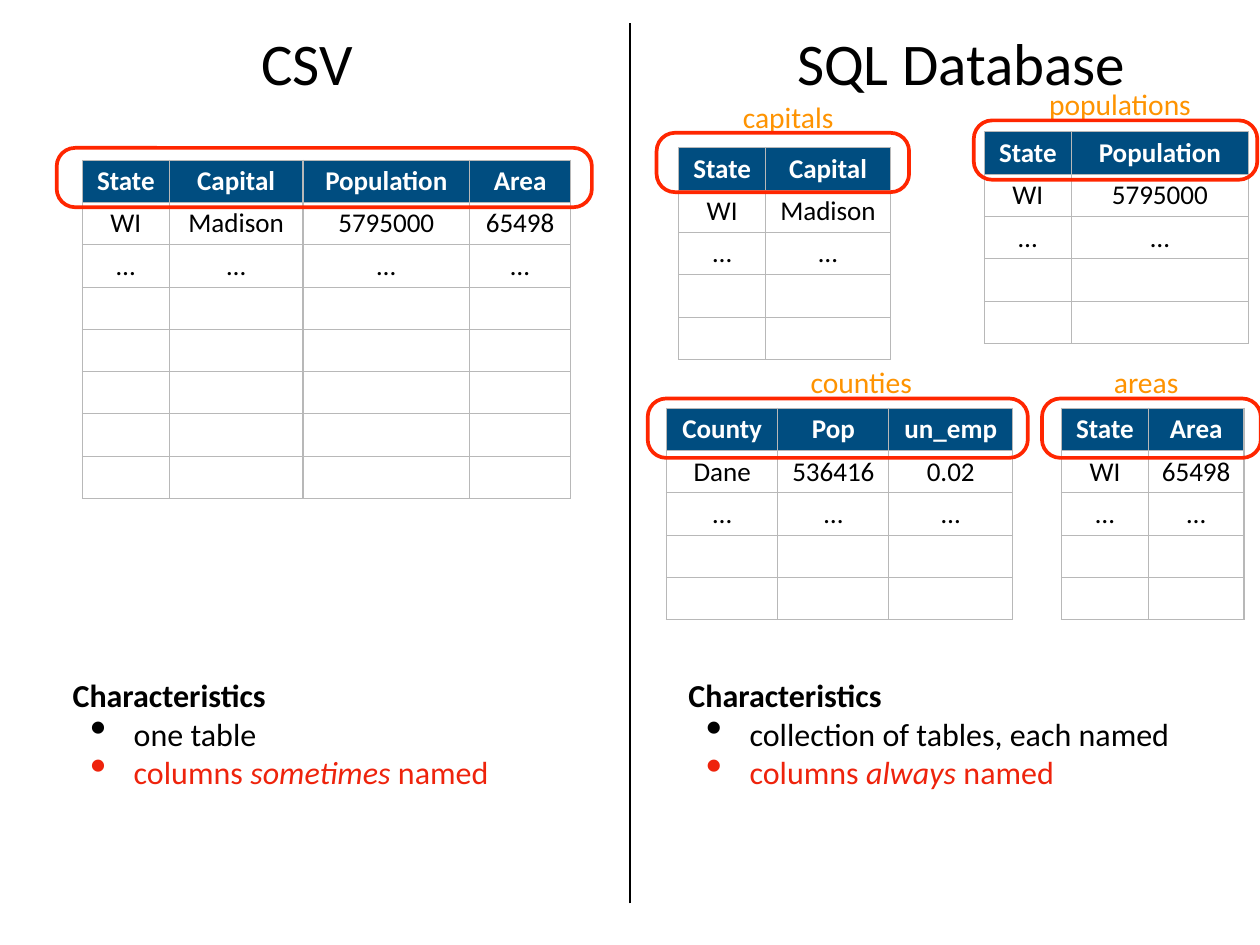
from dataclasses import dataclass

from lxml.etree import SubElement
from pptx import Presentation
from pptx.dml.color import RGBColor
from pptx.enum.shapes import MSO_CONNECTOR as Connector, MSO_SHAPE as Preset
from pptx.enum.text import MSO_ANCHOR as Anchor, MSO_AUTO_SIZE as AutoSize, PP_ALIGN as Align
from pptx.oxml.ns import qn
from pptx.util import Inches, Pt


@dataclass(frozen=True)
class Theme:
    font: str = "Calibri"
    black: str = "000000"
    white: str = "FFFFFF"
    header: str = "004D80"
    grid: str = "B8B8B8"
    label: str = "FE9301"
    highlight: str = "FF2600"
    emphasis: str = "EE230C"
    heading_size: int = 48
    body_size: int = 26
    label_size: int = 24
    cell_size: int = 22
    divider_width: int = 2
    highlight_width: int = 3
    grid_width: int = 1


THEME = Theme()
INSET = 0.06
CELL_INSET = 0.05

CSV_TABLE = dict(
    box=(0.93, 1.81, 5.5, 3.82), widths=(0.98, 1.51, 1.88, 1.14), row_count=8,
    header=("State", "Capital", "Population", "Area"),
    record=("WI", "Madison", "5795000", "65498"))
CAPITALS = dict(
    box=(7.66, 1.67, 2.39, 2.39), widths=(0.98, 1.41), row_count=5,
    header=("State", "Capital"), record=("WI", "Madison"))
POPULATIONS = dict(
    box=(11.11, 1.49, 2.98, 2.39), widths=(0.98, 2), row_count=5,
    header=("State", "Population"), record=("WI", "5795000"))
COUNTIES = dict(
    box=(7.52, 4.61, 3.9, 2.39), widths=(1.26, 1.25, 1.4), row_count=5,
    header=("County", "Pop", "un_emp"), record=("Dane", "536416", "0.02"))
AREAS = dict(
    box=(11.98, 4.61, 2.06, 2.39), widths=(0.98, 1.08), row_count=5,
    header=("State", "Area"), record=("WI", "65498"))
TABLES = (CSV_TABLE, CAPITALS, POPULATIONS, COUNTIES, AREAS)

LABELS = (
    ("capitals", (8.3, 1.06, 1.19, 0.52)),
    ("populations", (11.73, 0.91, 1.82, 0.52)),
    ("counties", (9.04, 4.05, 1.36, 0.52)),
    ("areas", (12.49, 4.05, 0.89, 0.52)),
)
HEADER_HIGHLIGHTS = (
    (0.64, 1.67, 6.04),
    (7.41, 1.5, 2.85),
    (10.99, 1.36, 3.2),
    (7.31, 4.5, 4.29),
    (11.76, 4.5, 2.47),
)
CHARACTERISTICS = (
    ((0.76, 7.57, 5.84, 2.48), "one table", "sometimes"),
    ((7.71, 7.57, 6.28, 2.48), "collection of tables, each named", "always"),
)


def color(value):
    return RGBColor.from_string(value)


def inches(values):
    return [Inches(value) for value in values]


def add_run(paragraph, text, size, fill=THEME.black, bold=False, italic=False):
    run = paragraph.add_run()
    run.text = text
    font = run.font
    font.name, font.size, font.bold, font.italic = THEME.font, Pt(size), bold, italic
    font.color.rgb = color(fill)


def set_frame(frame, anchor, wrap):
    frame.auto_size = AutoSize.NONE
    frame.word_wrap = wrap
    frame.vertical_anchor = anchor
    frame.margin_left = frame.margin_right = Inches(INSET)
    frame.margin_top = frame.margin_bottom = Inches(INSET)


def fill_caption(shape, text, size, fill):
    set_frame(shape.text_frame, Anchor.MIDDLE, False)
    paragraph = shape.text_frame.paragraphs[0]
    paragraph.alignment = Align.CENTER
    add_run(paragraph, text, size, fill)


def add_caption(slide, box, text, size, fill):
    fill_caption(slide.shapes.add_textbox(*inches(box)), text, size, fill)


def set_title(slide, box, text):
    title = slide.shapes.title
    title.left, title.top, title.width, title.height = inches(box)
    fill_caption(title, text, THEME.heading_size, THEME.black)


def add_divider(slide):
    divider = slide.shapes.add_connector(
        Connector.STRAIGHT, *inches((7.11, 10.2, 7.11, 0.26)))
    divider.line.color.rgb = color(THEME.black)
    divider.line.width = Pt(THEME.divider_width)
    SubElement(divider.element.spPr, qn("a:effectLst"))


def set_borders(cell):
    properties = cell._tc.get_or_add_tcPr()
    for index, side in enumerate("LRTB"):
        border = SubElement(properties, qn(f"a:ln{side}"), w=str(Pt(THEME.grid_width)))
        fill = SubElement(border, qn("a:solidFill"))
        SubElement(fill, qn("a:srgbClr"), val=THEME.grid)
        properties.insert(index, border)


def format_cell(cell, text, is_header):
    cell.fill.solid()
    cell.fill.fore_color.rgb = color(THEME.header if is_header else THEME.white)
    cell.vertical_anchor = Anchor.MIDDLE
    cell.margin_left = cell.margin_right = Inches(INSET)
    cell.margin_top = cell.margin_bottom = Inches(CELL_INSET)
    set_borders(cell)
    if text:
        paragraph = cell.text_frame.paragraphs[0]
        paragraph.alignment = Align.CENTER
        text_fill = THEME.white if is_header else THEME.black
        add_run(paragraph, text, THEME.cell_size, text_fill, bold=is_header)


def add_data_table(slide, box, widths, row_count, header, record):
    table = slide.shapes.add_table(row_count, len(widths), *inches(box)).table
    table.first_row = table.horz_banding = False
    for column, width in zip(table.columns, widths):
        column.width = Inches(width)
    blank = ("",) * len(widths)
    rows = [header, record, ("…",) * len(widths)] + [blank] * (row_count - 3)
    for row_index, values in enumerate(rows):
        for column_index, text in enumerate(values):
            format_cell(table.cell(row_index, column_index), text, row_index == 0)


def add_header_highlight(slide, left, top, width):
    shape = slide.shapes.add_shape(
        Preset.ROUNDED_RECTANGLE, *inches((left, top, width, 0.67)))
    shape.adjustments[0] = 0.31
    shape.shadow.inherit = False
    shape.fill.background()
    shape.line.color.rgb = color(THEME.highlight)
    shape.line.width = Pt(THEME.highlight_width)


def add_bullet(frame):
    paragraph = frame.add_paragraph()
    properties = paragraph._p.get_or_add_pPr()
    properties.set("marL", str(Inches(0.69)))
    properties.set("indent", str(Inches(-0.49)))
    SubElement(properties, qn("a:buSzPct"), val="145000")
    SubElement(properties, qn("a:buChar"), char="•")
    return paragraph


def add_characteristics(slide, box, table_note, frequency):
    frame = slide.shapes.add_textbox(*inches(box)).text_frame
    set_frame(frame, Anchor.TOP, True)
    size = THEME.body_size
    add_run(frame.paragraphs[0], "Characteristics", size, bold=True)
    add_run(add_bullet(frame), table_note, size)
    naming = add_bullet(frame)
    add_run(naming, "columns ", size, THEME.emphasis)
    add_run(naming, frequency, size, THEME.emphasis, italic=True)
    add_run(naming, " named", size, THEME.emphasis)


def main():
    presentation = Presentation()
    presentation.slide_width, presentation.slide_height = inches((14.22, 10.67))
    slide = presentation.slides.add_slide(presentation.slide_layouts[5])
    set_title(slide, (2.81, 0.26, 1.31, 0.88), "CSV")
    add_caption(slide, (8.86, 0.26, 3.98, 0.88), "SQL Database",
                THEME.heading_size, THEME.black)
    add_divider(slide)
    for table in TABLES:
        add_data_table(slide, **table)
    for text, box in LABELS:
        add_caption(slide, box, text, THEME.label_size, THEME.label)
    for highlight in HEADER_HIGHLIGHTS:
        add_header_highlight(slide, *highlight)
    for characteristics in CHARACTERISTICS:
        add_characteristics(slide, *characteristics)
    presentation.save("out.pptx")


if __name__ == "__main__":
    main()
